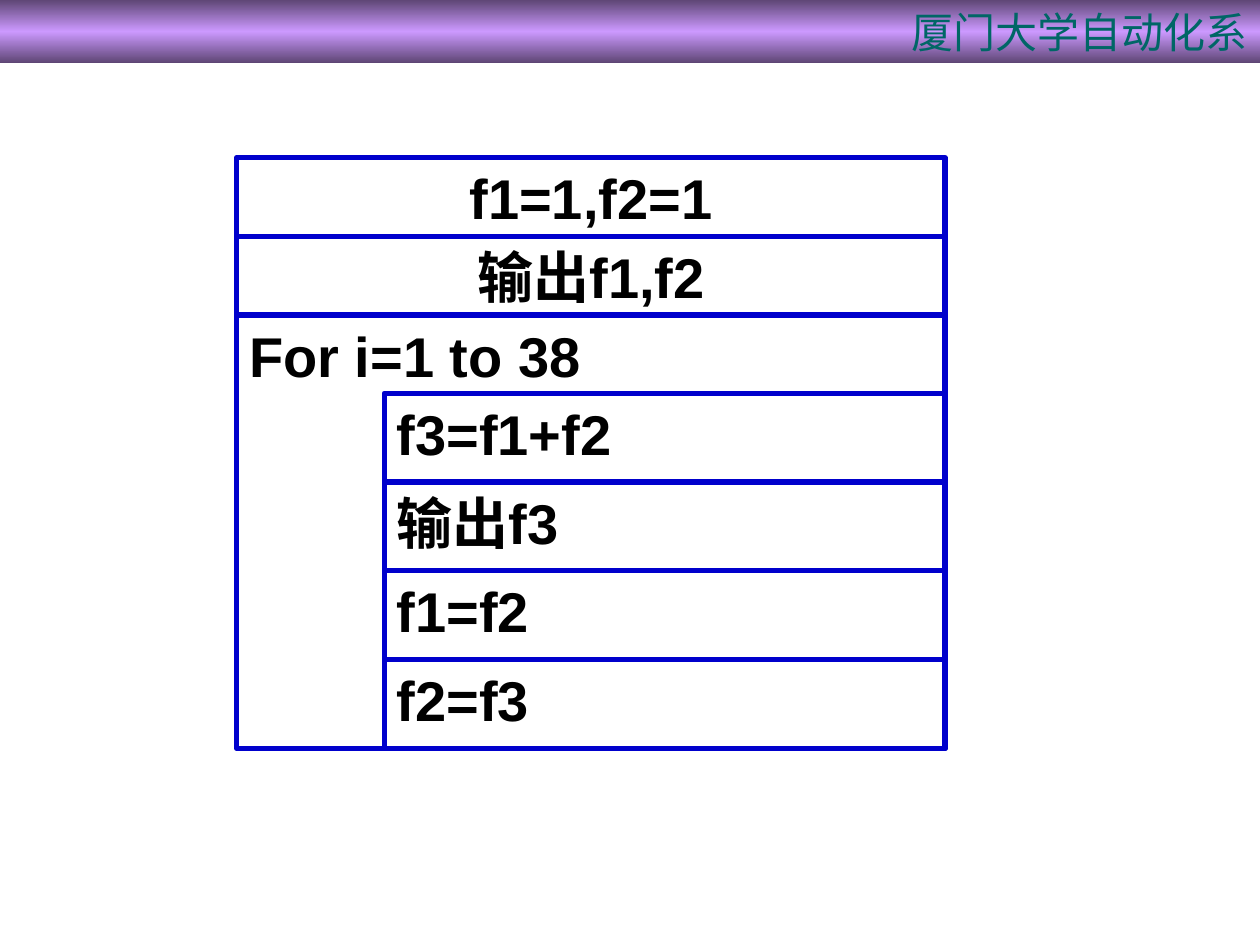
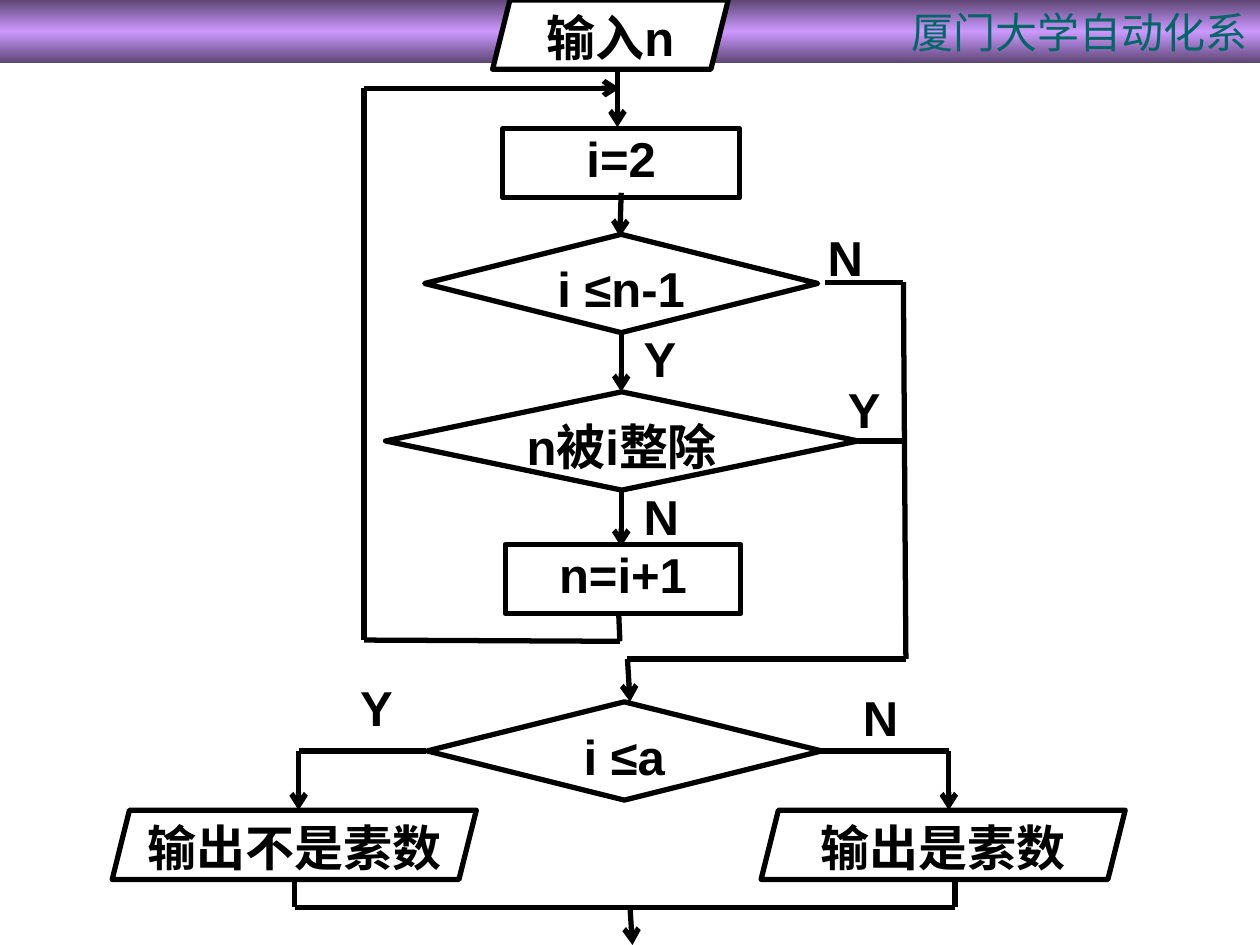
"""Builds two slides: a loop block diagram and a prime number flowchart."""
from copy import deepcopy
from itertools import pairwise

from pptx import Presentation
from pptx.dml.color import RGBColor
from pptx.enum.shapes import MSO_CONNECTOR as Connector, MSO_SHAPE as Shape
from pptx.enum.text import MSO_ANCHOR as Anchor, PP_ALIGN as Align
from pptx.oxml.ns import qn
from pptx.oxml.xmlchemy import OxmlElement
from pptx.util import Inches, Pt

FONT = "Arial"
BLACK, WHITE, BLUE, TEAL = "000000", "FFFFFF", "0000CC", "006666"
BAND_STOPS = [(0, "5E4675"), (0.5, "CC99FF"), (1, "5E4675")]
BAND_TEXT = "厦门大学自动化系"
SLIDE_WIDTH, SLIDE_HEIGHT, BAND_HEIGHT = 10, 7.5, 0.5
LINE_WIDTH = 3
INSETS, NO_INSETS = (0.1, 0.05), (0, 0)

HEADER_ROWS = ["f1=1,f2=1", "输出f1,f2"]
LOOP_HEAD = "For i=1 to 38"
LOOP_STEPS = ["f3=f1+f2", "输出f3", "f1=f2", "f2=f3"]
DIAGRAM_LEFT, STEPS_LEFT, DIAGRAM_RIGHT = 1.88, 3.05, 7.5
DIAGRAM_TOP, LOOP_TOP, STEPS_TOP, DIAGRAM_BOTTOM = 1.25, 2.5, 3.12, 5.94

NODE_HEIGHTS = {Shape.PARALLELOGRAM: 0.55, Shape.FLOWCHART_PROCESS: 0.55,
                Shape.FLOWCHART_DECISION: 0.78}
NODES = [
    ("输入n", Shape.PARALLELOGRAM, 3.91, 0, 1.87),
    ("i=2", Shape.FLOWCHART_PROCESS, 3.99, 1.02, 1.88),
    ("i ≤n-1", Shape.FLOWCHART_DECISION, 3.37, 1.86, 3.12),
    ("n被i整除", Shape.FLOWCHART_DECISION, 3.06, 3.11, 3.75),
    ("n=i+1", Shape.FLOWCHART_PROCESS, 4.01, 4.32, 1.87),
    ("i ≤a", Shape.FLOWCHART_DECISION, 3.39, 5.57, 3.13),
    ("输出不是素数", Shape.PARALLELOGRAM, 0.89, 6.43, 2.89),
    ("输出是素数", Shape.PARALLELOGRAM, 6.04, 6.43, 2.89),
]
BRANCH_LABELS = [
    ("N", 6.47, 1.76), ("Y", 5.01, 2.56), ("Y", 6.63, 2.96),
    ("N", 5.01, 3.81), ("Y", 2.76, 5.33), ("N", 6.75, 5.41),
]
ARROW_ROUTES = [
    [(4.9, 0.54), (4.9, 1.01)],
    [(4.93, 1.53), (4.92, 1.88)],
    [(4.93, 2.64), (4.93, 3.11)],
    [(4.93, 3.89), (4.93, 4.34)],
    [(4.91, 4.86), (4.92, 5.09), (2.89, 5.08), (2.89, 0.7), (4.92, 0.7)],
    [(6.55, 2.24), (7.17, 2.24), (7.19, 5.23), (4.98, 5.23), (5, 5.57)],
    [(3.38, 5.96), (2.37, 5.96), (2.37, 6.43)],
    [(6.51, 5.96), (7.53, 5.96), (7.53, 6.43)],
    [(5, 7.2), (5.02, 7.5)],
]
PLAIN_ROUTES = [
    [(6.81, 3.5), (7.19, 3.5)],
    [(2.34, 6.97), (2.34, 7.2), (7.58, 7.2), (7.58, 6.97)],
]


def colour(value):
    """Turn a hex string into a colour."""
    return RGBColor.from_string(value)


def write(box, text, size, align, insets=INSETS, wrap=False, ink=BLACK, bold=True):
    """Put one formatted line of text at the top of a box."""
    frame = box.text_frame
    frame.text = text
    frame.word_wrap = wrap
    frame.vertical_anchor = Anchor.TOP
    frame.margin_left = frame.margin_right = Inches(insets[0])
    frame.margin_top = frame.margin_bottom = Inches(insets[1])
    line = frame.paragraphs[0]
    line.alignment = align
    font = line.runs[0].font
    font.name, font.size, font.bold = FONT, Pt(size), bold
    font.color.rgb = colour(ink)


def add_box(shapes, kind, left, top, width, height, outline):
    """Add a white outlined shape."""
    box = shapes.add_shape(kind, *map(Inches, (left, top, width, height)))
    box.shadow.inherit = False
    box.fill.solid()
    box.fill.fore_color.rgb = colour(WHITE)
    box.line.color.rgb = colour(outline)
    box.line.width = Pt(LINE_WIDTH)
    return box


def add_route(shapes, points, arrow):
    """Join points with straight lines, the last one with an optional arrowhead."""
    for start, end in pairwise(points):
        link = shapes.add_connector(Connector.STRAIGHT, *map(Inches, start + end))
        link.line.color.rgb = colour(BLACK)
        link.line.width = Pt(LINE_WIDTH)
        if arrow and end == points[-1]:
            head = OxmlElement("a:tailEnd")
            head.set("type", "arrow")
            link.line._get_or_add_ln().append(head)
        link._element.spPr.append(OxmlElement("a:effectLst"))


def add_slide(deck):
    """Add a blank slide with the department band."""
    slide = deck.slides.add_slide(deck.slide_layouts[6])
    band = slide.shapes.add_shape(
        Shape.RECTANGLE, 0, 0, Inches(SLIDE_WIDTH), Inches(BAND_HEIGHT))
    band.shadow.inherit = False
    band.line.fill.background()
    band.fill.gradient()
    band.fill.gradient_angle = 90
    stop_list = band._element.spPr.find(qn("a:gradFill")).find(qn("a:gsLst"))
    stop_list.append(deepcopy(stop_list[0]))
    for stop, (position, tint) in zip(band.fill.gradient_stops, BAND_STOPS):
        stop.position = position
        stop.color.rgb = colour(tint)
    write(band, BAND_TEXT, 24, Align.RIGHT, wrap=True, ink=TEAL, bold=False)
    return slide


def add_loop_diagram(slide):
    """Draw the block diagram as header rows and a loop with nested steps."""
    shapes = slide.shapes.add_group_shape().shapes

    def add_row(text, left, top, bottom, align=Align.LEFT, kind=Shape.RECTANGLE):
        """Add one row that reaches the right edge of the diagram."""
        row = add_box(shapes, kind, left, top, DIAGRAM_RIGHT - left, bottom - top, BLUE)
        write(row, text, 32, align)

    add_row(LOOP_HEAD, DIAGRAM_LEFT, LOOP_TOP, DIAGRAM_BOTTOM)
    header_height = (LOOP_TOP - DIAGRAM_TOP) / len(HEADER_ROWS)
    for index, text in enumerate(HEADER_ROWS):
        top = DIAGRAM_TOP + index * header_height
        add_row(text, DIAGRAM_LEFT, top, top + header_height, Align.CENTER)
    step_height = (DIAGRAM_BOTTOM - STEPS_TOP) / len(LOOP_STEPS)
    for index, text in enumerate(LOOP_STEPS):
        top = STEPS_TOP + index * step_height
        add_row(text, STEPS_LEFT, top, top + step_height, kind=Shape.FLOWCHART_PROCESS)


def add_prime_flowchart(slide):
    """Draw the flowchart nodes, their routes and the branch labels."""
    shapes = slide.shapes
    for text, kind, left, top, width in NODES:
        node = add_box(shapes, kind, left, top, width, NODE_HEIGHTS[kind], BLACK)
        write(node, text, 28, Align.CENTER, NO_INSETS)
    for routes, arrow in ((ARROW_ROUTES, True), (PLAIN_ROUTES, False)):
        for points in routes:
            add_route(shapes, points, arrow)
    for text, left, top in BRANCH_LABELS:
        label = shapes.add_textbox(*map(Inches, (left, top, 0.55, 0.57)))
        write(label, text, 28, Align.LEFT, wrap=True)


def main():
    """Build and save the deck."""
    deck = Presentation()
    deck.slide_width, deck.slide_height = Inches(SLIDE_WIDTH), Inches(SLIDE_HEIGHT)
    add_loop_diagram(add_slide(deck))
    add_prime_flowchart(add_slide(deck))
    deck.save("out.pptx")


if __name__ == "__main__":
    main()
